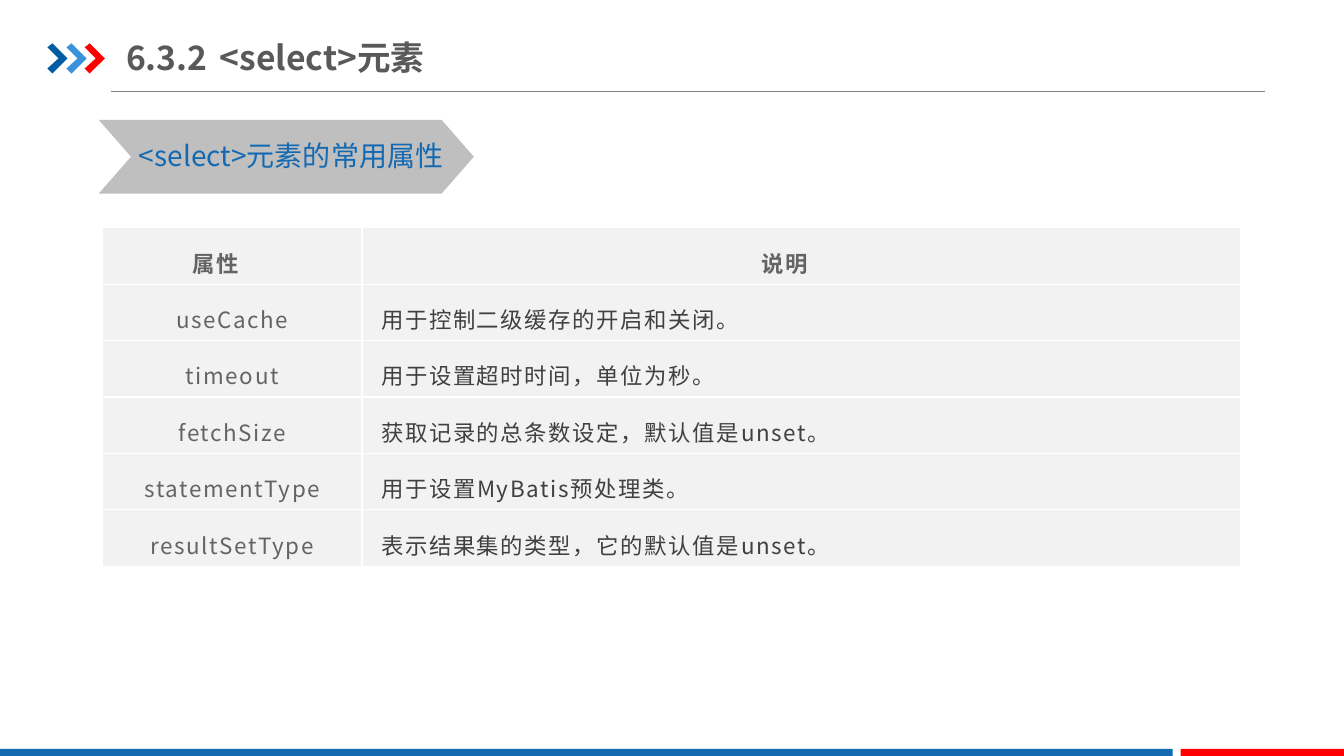
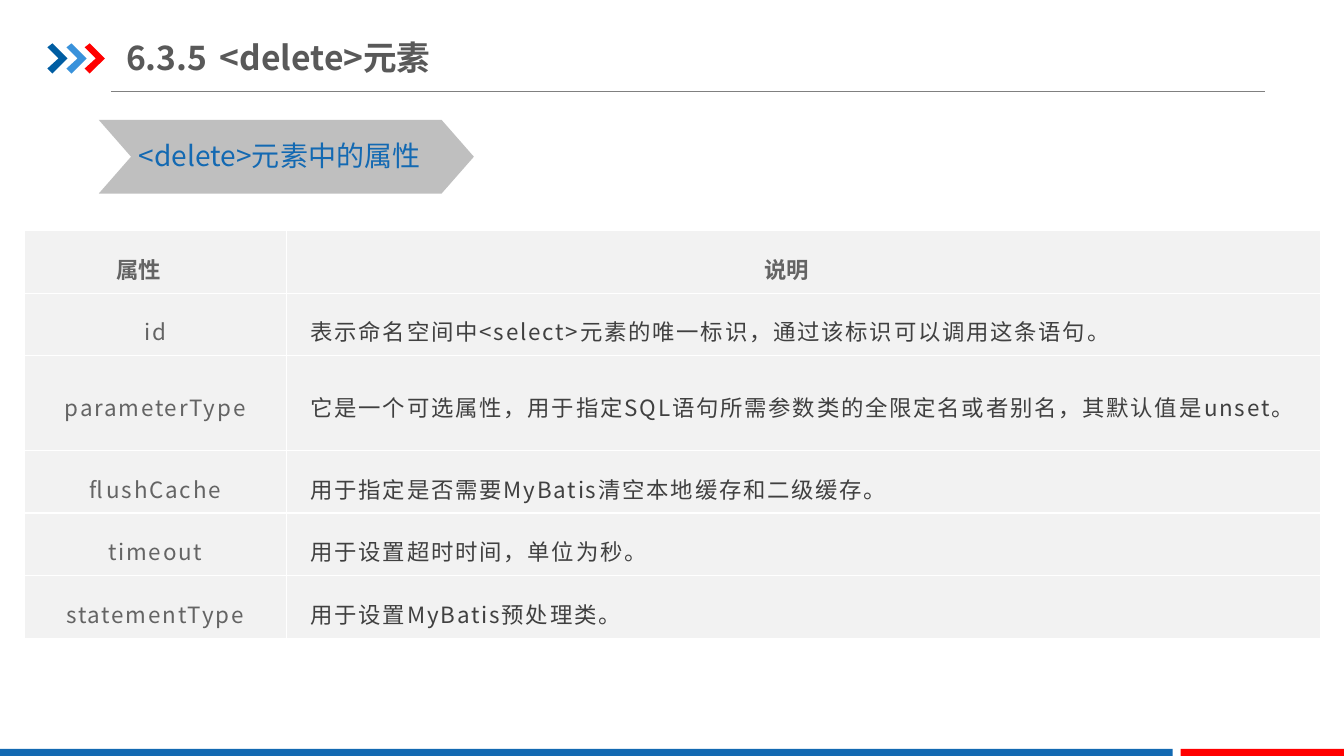
from lxml.etree import SubElement
from pptx import Presentation
from pptx.dml.color import RGBColor
from pptx.enum.lang import MSO_LANGUAGE_ID as Lang
from pptx.enum.shapes import MSO_CONNECTOR as Connector, MSO_SHAPE as Shape
from pptx.enum.text import MSO_ANCHOR as Anchor, PP_ALIGN as Align
from pptx.oxml.ns import qn
from pptx.util import Inches, Pt

FONT = "Noto Sans CJK SC"
BLUE, RED, WHITE = "1369B2", "FF0000", "FFFFFF"
TITLE_GRAY, LABEL_GRAY, BODY_GRAY = "595959", "646464", "404040"
CELL_FILL, BANNER_FILL, RULE_GRAY = "F2F2F2", "BFBFBF", "808080"

CHEVRONS = [(0.47, "005DA2"), (0.66, "3992DB"), (0.84, RED)]
CHEVRON_OUTLINE = [(0, 0.04), (0.05, 0), (0.2, 0.15), (0.05, 0.3), (0, 0.25), (0.11, 0.15)]
FOOTER_BANDS = [(0, 11.63, BLUE), (11.71, 1.63, RED)]
HEADER_SHIFT = 0.33  # extra right margin that moves header labels left

PAGES = [
    dict(
        title="6.3.2\t<select>元素", banner="<select>元素的常用属性",
        left=1.02, top=2.26, columns=(2.57, 8.71), row_height=0.55,
        margins=(0.19, 0.12), header_tracking=120, tracking=120,
        rows=[
            ("属性", "说明"),
            ("useCache", "用于控制二级缓存的开启和关闭。"),
            ("timeout", "用于设置超时时间，单位为秒。"),
            ("fetchSize", "获取记录的总条数设定，默认值是unset。"),
            ("statementType", "用于设置MyBatis预处理类。"),
            ("resultSetType", "表示结果集的类型，它的默认值是unset。"),
        ],
    ),
    dict(
        title="6.3.5\t<delete>元素", banner="<delete>元素中的属性",
        left=0.24, top=2.29, columns=(2.6, 10.26), row_height=0.61,
        margins=(0.24, 0.15), header_tracking=0, tracking=130,
        rows=[
            ("属性", "说明"),
            ("id", "表示命名空间中<select>元素的唯一标识，通过该标识可以调用这条语句。"),
            ("parameterType", "它是一个可选属性，用于指定SQL语句所需参数类的全限定名或者别名，其默认值是unset。"),
            ("flushCache", "用于指定是否需要MyBatis清空本地缓存和二级缓存。"),
            ("timeout", "用于设置超时时间，单位为秒。"),
            ("statementType", "用于设置MyBatis预处理类。"),
        ],
    ),
]


def paint(fill, color):
    fill.solid()
    fill.fore_color.rgb = RGBColor.from_string(color)


def write(frame, text, size=16, color=BODY_GRAY, bold=False, align=Align.LEFT,
          line_spacing=None, tracking=0, tab=None):
    paragraph = frame.paragraphs[0]
    paragraph.alignment = align
    paragraph.line_spacing = line_spacing
    if tab:
        stops = SubElement(paragraph._p.get_or_add_pPr(), qn("a:tabLst"))
        SubElement(stops, qn("a:tab"), pos=str(Inches(tab)), algn="l")
    run = paragraph.add_run()
    run.text = text
    run.font.size = Pt(size)
    run.font.bold = bold
    run.font.name = FONT
    run.font.language_id = Lang.SIMPLIFIED_CHINESE
    paint(run.font.fill, color)
    properties = run._r.get_or_add_rPr()
    SubElement(properties, qn("a:ea"), typeface=FONT)
    if tracking:
        properties.set("spc", str(tracking))


deck = Presentation()
deck.slide_width, deck.slide_height = Inches(13.33), Inches(7.5)

for page in PAGES:
    slide = deck.slides.add_slide(deck.slide_layouts[6])
    shapes = slide.shapes

    # Title rule
    rule = shapes.add_connector(Connector.STRAIGHT, Inches(1.1), Inches(0.91),
                                Inches(12.55), Inches(0.91))
    rule.line.width = Pt(0.5)
    paint(rule.line.fill, RULE_GRAY)
    SubElement(rule._element.spPr, qn("a:effectLst"))

    # Title chevrons, footer bands and the section banner
    filled = []
    for left, color in CHEVRONS:
        points = [(Inches(left + x), Inches(0.43 + y)) for x, y in CHEVRON_OUTLINE]
        outline = shapes.build_freeform(*points[0])
        outline.add_line_segments(points[1:], close=True)
        filled.append((outline.convert_to_shape(), color))
    for left, width, color in FOOTER_BANDS:
        band = shapes.add_shape(Shape.RECTANGLE, Inches(left), Inches(7.43),
                                Inches(width), Inches(0.09))
        filled.append((band, color))
    banner = shapes.add_shape(Shape.CHEVRON, Inches(0.98), Inches(1.19),
                              Inches(3.72), Inches(0.73))
    banner.adjustments[0] = 0.438
    filled.append((banner, BANNER_FILL))
    for part, color in filled:
        paint(part.fill, color)
        part.line.fill.background()
        part.shadow.inherit = False

    # Banner label and title
    label = shapes.add_textbox(Inches(1.28), Inches(1.33), Inches(3.35), Inches(0.44)).text_frame
    label.word_wrap = False
    write(label, page["banner"], size=20, color=BLUE)
    title = shapes.add_textbox(Inches(1.25), Inches(0.29), Inches(3.45), Inches(0.55)).text_frame
    title.word_wrap = True
    title.vertical_anchor = Anchor.MIDDLE
    title.margin_left = title.margin_right = 0
    title.margin_top = title.margin_bottom = Inches(0.07)
    write(title, page["title"], size=24, color=TITLE_GRAY, bold=True, tab=0.93)

    # Attribute table
    rows, columns = page["rows"], page["columns"]
    table = shapes.add_table(len(rows), len(columns), Inches(page["left"]), Inches(page["top"]),
                             Inches(sum(columns)), Inches(page["row_height"] * len(rows))).table
    for column, width in zip(table.columns, columns):
        column.width = Inches(width)
    side, vertical = page["margins"]
    for r, texts in enumerate(rows):
        table.rows[r].height = Inches(page["row_height"])
        for c, text in enumerate(texts):
            header = r == 0
            cell = table.cell(r, c)
            cell.vertical_anchor = Anchor.MIDDLE
            cell.margin_left = Inches(side)
            cell.margin_right = Inches(side + HEADER_SHIFT * header)
            cell.margin_top = cell.margin_bottom = Inches(vertical)
            for edge in ("a:lnL", "a:lnR", "a:lnT", "a:lnB"):
                border = SubElement(cell._tc.get_or_add_tcPr(), qn(edge), w=str(Pt(1)))
                SubElement(SubElement(border, qn("a:solidFill")), qn("a:srgbClr"), val=WHITE)
            paint(cell.fill, CELL_FILL)
            centered = header or c == 0
            write(cell.text_frame, text, bold=header, line_spacing=1.2,
                  color=LABEL_GRAY if centered else BODY_GRAY,
                  align=Align.CENTER if centered else Align.LEFT,
                  tracking=page["header_tracking" if header else "tracking"])

deck.save("out.pptx")
